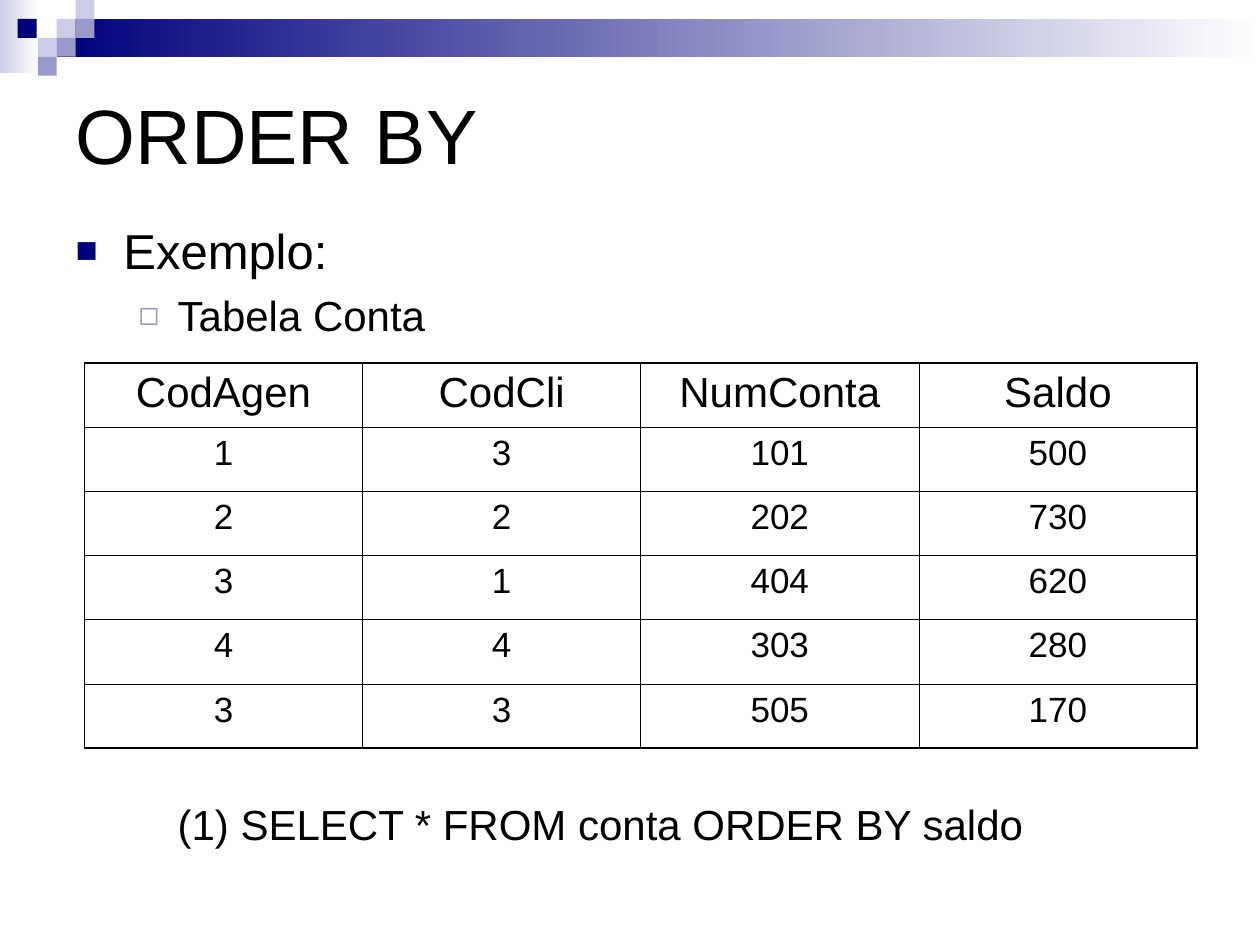
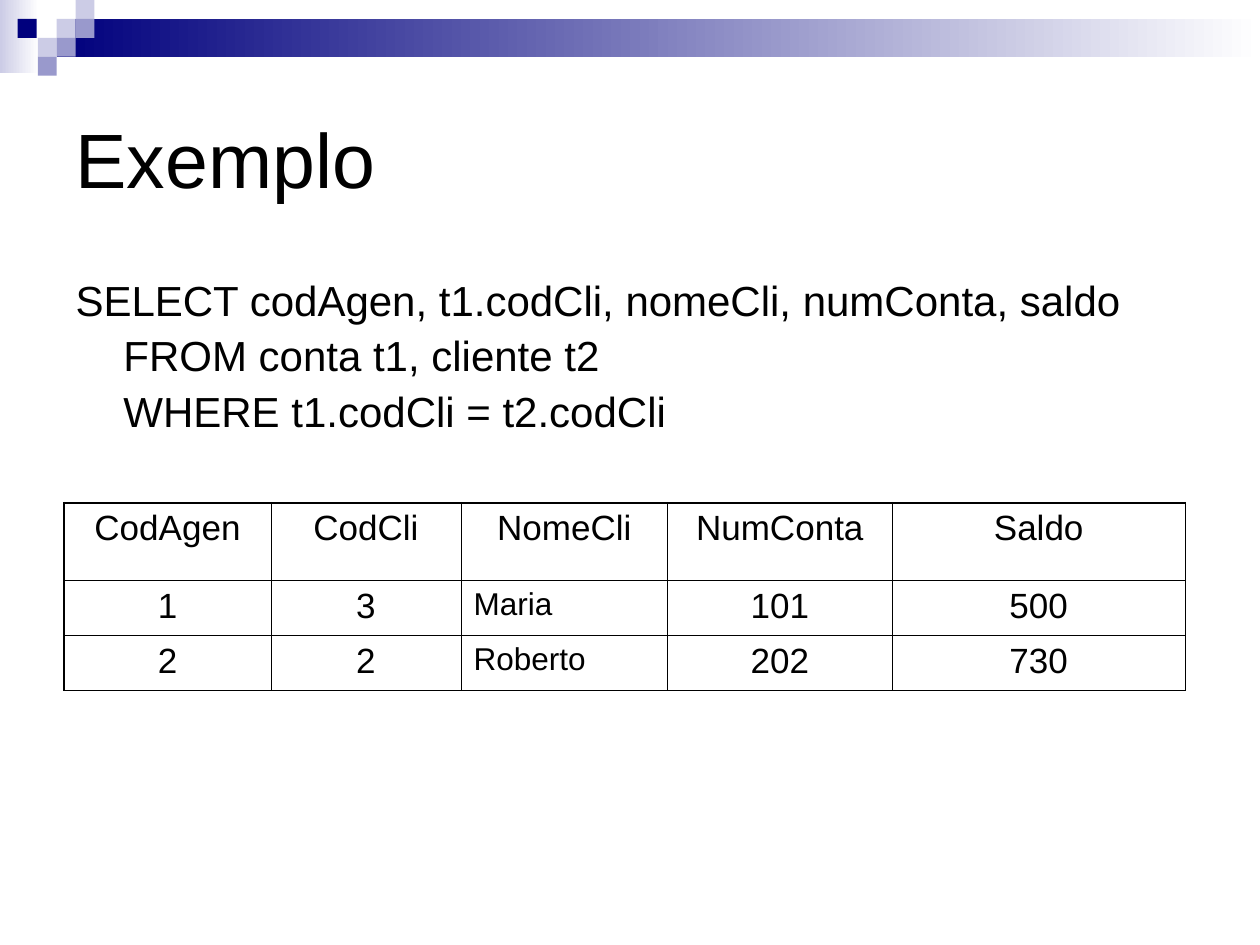
from dataclasses import dataclass
from typing import NamedTuple, Optional

import lxml.etree
import pptx
import pptx.dml.color
import pptx.enum.shapes
import pptx.enum.text
import pptx.oxml.ns
import pptx.presentation
import pptx.slide
import pptx.table
import pptx.text.text
import pptx.util

Inches = pptx.util.Inches
Pt = pptx.util.Pt
Align = pptx.enum.text.PP_ALIGN
Anchor = pptx.enum.text.MSO_ANCHOR


@dataclass(frozen=True)
class Theme:
    font: str = "Arial"
    black: str = "000000"
    white: str = "FFFFFF"
    navy: str = "00007D"
    violet: str = "9999CC"
    lavender: str = "CCCCE6"
    title: float = 44
    list_top: float = 28
    text: float = 24
    cell: float = 20
    small: float = 18
    outer_border: float = 1.08
    inner_border: float = 0.45


THEME = Theme()


class Box(NamedTuple):
    left: float
    top: float
    width: float
    height: float


class Decoration(NamedTuple):
    box: Box
    color: str
    fades: bool = False


class Bullet(NamedTuple):
    character: str
    color: str
    percent: int


class ListItem(NamedTuple):
    text: str
    size: float
    margin: float
    indent: float = 0
    space_before: float = 0
    level: int = 0
    line_spacing: float = 1
    bullet: Optional[Bullet] = None


class Column(NamedTuple):
    heading: str
    width: float
    values: list[str]
    size: float = THEME.cell
    alignment: Align = Align.CENTER


class TableSpec(NamedTuple):
    box: Box
    header_height: float
    header_size: float
    columns: list[Column]


class SlideSpec(NamedTuple):
    title: str
    title_box: Box
    body_box: Box
    items: list[ListItem]
    table: TableSpec


TILE = 0.15
DECORATIONS = [
    Decoration(Box(0, 0, 0.31, 0.58), THEME.lavender, fades=True),
    Decoration(Box(0.45, TILE, 9.55, 0.3), THEME.navy, fades=True),
] + [
    Decoration(Box(left, row * TILE, TILE, TILE), color)
    for left, row, color in [
        (0.45, 1, THEME.lavender),
        (0.6, 0, THEME.lavender),
        (0.6, 1, THEME.violet),
        (0.3, 2, THEME.lavender),
        (0.14, 1, THEME.navy),
        (0.45, 2, THEME.violet),
        (0.3, 3, THEME.violet),
    ]
]

ACCOUNT_WIDTH = 8.83 / 4
SLIDES = [
    SlideSpec(
        "ORDER BY",
        Box(0.5, 0.5, 9, 1.12),
        Box(0.5, 1.7, 7.97, 5.59),
        [
            ListItem("Exemplo:", THEME.list_top, 0.38, -0.38,
                     bullet=Bullet("■", THEME.navy, 75)),
            ListItem("Tabela Conta", THEME.text, 0.81, -0.31, 6, level=1,
                     bullet=Bullet("◻", THEME.violet, 80)),
            ListItem("(1) SELECT * FROM conta ORDER BY saldo",
                     THEME.text, 0.81, space_before=262, level=1),
        ],
        TableSpec(Box(0.67, 2.88, 8.83, 3.06), 0.51, THEME.text, [
            Column("CodAgen", ACCOUNT_WIDTH, ["1", "2", "3", "4", "3"]),
            Column("CodCli", ACCOUNT_WIDTH, ["3", "2", "1", "4", "3"]),
            Column("NumConta", ACCOUNT_WIDTH, ["101", "202", "404", "303", "505"]),
            Column("Saldo", ACCOUNT_WIDTH, ["500", "730", "620", "280", "170"]),
        ]),
    ),
    SlideSpec(
        "Exemplo",
        Box(0.5, 0.5, 9, 1.5),
        Box(0.5, 2.17, 9.07, 1.43),
        [
            ListItem("SELECT codAgen, t1.codCli, nomeCli, numConta, saldo",
                     THEME.text, 0.38, -0.38, line_spacing=0.9),
            ListItem("FROM conta t1, cliente t2",
                     THEME.text, 0.38, space_before=6, line_spacing=0.9),
            ListItem("WHERE t1.codCli = t2.codCli",
                     THEME.text, 0.38, space_before=6, line_spacing=0.9),
        ],
        TableSpec(Box(0.51, 3.99, 8.9, 1.49), 0.62, THEME.cell, [
            Column("CodAgen", 1.64, ["1", "2"]),
            Column("CodCli", 1.51, ["3", "2"]),
            Column("NomeCli", 1.64, ["Maria", "Roberto"], THEME.small, Align.LEFT),
            Column("NumConta", 1.78, ["101", "202"]),
            Column("Saldo", 2.33, ["500", "730"]),
        ]),
    ),
]


def rgb(color: str) -> pptx.dml.color.RGBColor:
    return pptx.dml.color.RGBColor.from_string(color)


def add_element(parent, tag: str, **attributes: str):
    element = lxml.etree.SubElement(parent, pptx.oxml.ns.qn(tag))
    for name, value in attributes.items():
        element.set(name, value)
    return element


def style_font(paragraph: pptx.text.text._Paragraph, size: float) -> None:
    paragraph.font.name = THEME.font
    paragraph.font.size = Pt(size)
    paragraph.font.color.rgb = rgb(THEME.black)


def place(shape, box: Box) -> None:
    shape.left, shape.top, shape.width, shape.height = map(Inches, box)


def draw_decoration(slide: pptx.slide.Slide, decoration: Decoration) -> None:
    shape = slide.shapes.add_shape(
        pptx.enum.shapes.MSO_SHAPE.RECTANGLE, *map(Inches, decoration.box))
    shape.shadow.inherit = False
    shape.line.fill.background()
    if decoration.fades:
        shape.fill.gradient()
        shape.fill.gradient_angle = 0
        colors = (decoration.color, THEME.white)
        for stop, color in zip(shape.fill.gradient_stops, colors):
            stop.color.rgb = rgb(color)
    else:
        shape.fill.solid()
        shape.fill.fore_color.rgb = rgb(decoration.color)


def draw_title(slide: pptx.slide.Slide, text: str, box: Box) -> None:
    title = slide.shapes.title
    place(title, box)
    frame = title.text_frame
    frame.text = text
    frame.vertical_anchor = Anchor.MIDDLE
    frame.auto_size = pptx.enum.text.MSO_AUTO_SIZE.NONE
    frame.paragraphs[0].alignment = Align.LEFT
    style_font(frame.paragraphs[0], THEME.title)


def set_bullet(paragraph: pptx.text.text._Paragraph, item: ListItem) -> None:
    properties = paragraph._p.get_or_add_pPr()
    properties.set("marL", str(Inches(item.margin)))
    properties.set("indent", str(Inches(item.indent)))
    if item.bullet is None:
        add_element(properties, "a:buNone")
        return
    color = add_element(properties, "a:buClr")
    add_element(color, "a:srgbClr", val=item.bullet.color)
    add_element(properties, "a:buSzPct", val=str(item.bullet.percent * 1000))
    add_element(properties, "a:buFont", typeface=THEME.font)
    add_element(properties, "a:buChar", char=item.bullet.character)


def draw_list(slide: pptx.slide.Slide, items: list[ListItem], box: Box) -> None:
    body = slide.placeholders[1]
    place(body, box)
    frame = body.text_frame
    frame.vertical_anchor = Anchor.TOP
    frame.auto_size = pptx.enum.text.MSO_AUTO_SIZE.NONE
    for index, item in enumerate(items):
        paragraph = frame.add_paragraph() if index else frame.paragraphs[0]
        paragraph.text = item.text
        paragraph.level = item.level
        set_bullet(paragraph, item)
        paragraph.space_before = Pt(item.space_before)
        paragraph.line_spacing = item.line_spacing
        style_font(paragraph, item.size)


def set_borders(cell: pptx.table._Cell, outer_sides: dict[str, bool]) -> None:
    properties = cell._tc.get_or_add_tcPr()
    for side, is_outer in outer_sides.items():
        width = THEME.outer_border if is_outer else THEME.inner_border
        line = add_element(properties, f"a:ln{side}", w=str(Pt(width)))
        fill = add_element(line, "a:solidFill")
        add_element(fill, "a:srgbClr", val=THEME.black)


def draw_table(slide: pptx.slide.Slide, spec: TableSpec) -> None:
    row_count = len(spec.columns[0].values) + 1
    column_count = len(spec.columns)
    table = slide.shapes.add_table(
        row_count, column_count, *map(Inches, spec.box)).table
    table.first_row = table.horz_banding = False
    row_height = (spec.box.height - spec.header_height) / (row_count - 1)
    for index, row in enumerate(table.rows):
        row.height = Inches(row_height if index else spec.header_height)
    for column_index, column in enumerate(spec.columns):
        table.columns[column_index].width = Inches(column.width)
        for row_index, text in enumerate([column.heading, *column.values]):
            cell = table.cell(row_index, column_index)
            set_borders(cell, {
                "L": column_index == 0,
                "R": column_index == column_count - 1,
                "T": row_index == 0,
                "B": row_index == row_count - 1,
            })
            cell.fill.background()
            cell.text = text
            paragraph = cell.text_frame.paragraphs[0]
            paragraph.alignment = column.alignment if row_index else Align.CENTER
            style_font(paragraph, column.size if row_index else spec.header_size)


def build_slide(presentation: pptx.presentation.Presentation, spec: SlideSpec) -> None:
    slide = presentation.slides.add_slide(presentation.slide_layouts[1])
    for decoration in DECORATIONS:
        draw_decoration(slide, decoration)
    draw_title(slide, spec.title, spec.title_box)
    draw_list(slide, spec.items, spec.body_box)
    draw_table(slide, spec.table)


def main() -> None:
    presentation = pptx.Presentation()
    presentation.slide_width = Inches(10)
    presentation.slide_height = Inches(7.5)
    for spec in SLIDES:
        build_slide(presentation, spec)
    presentation.save("out.pptx")


if __name__ == "__main__":
    main()
